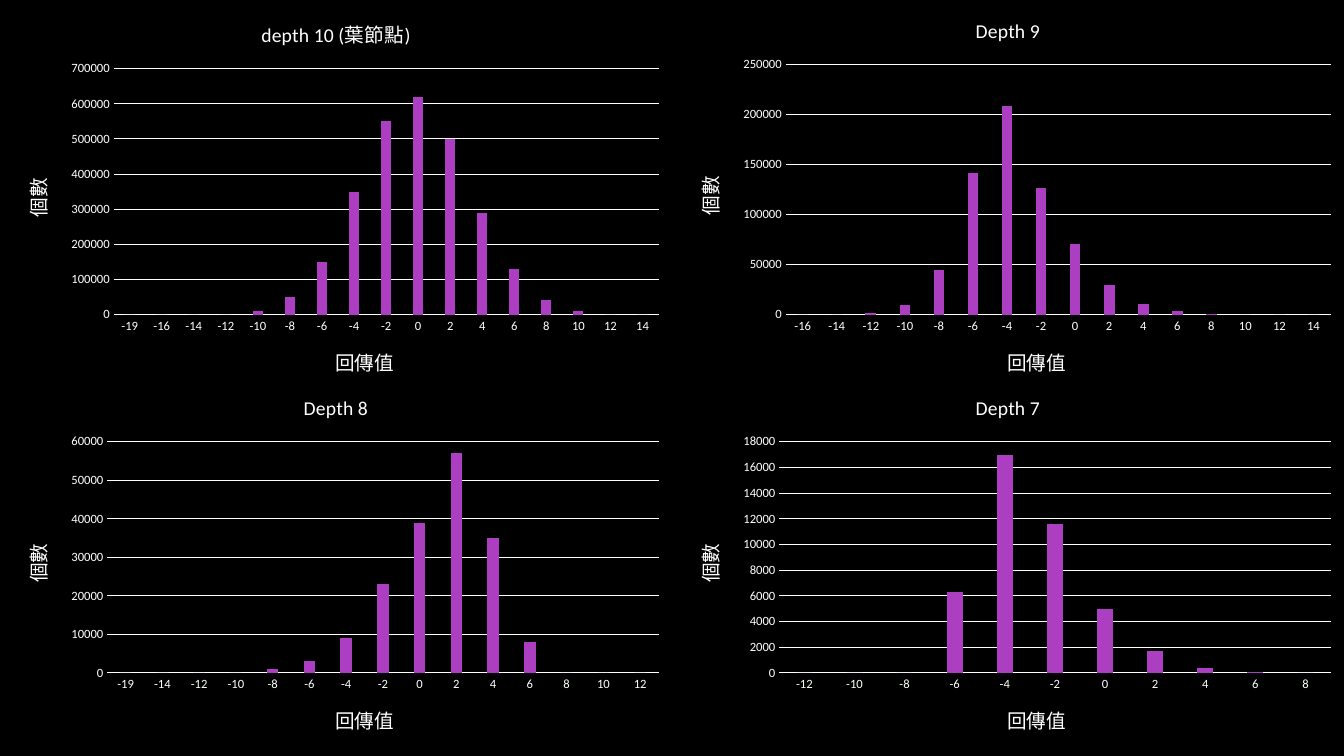
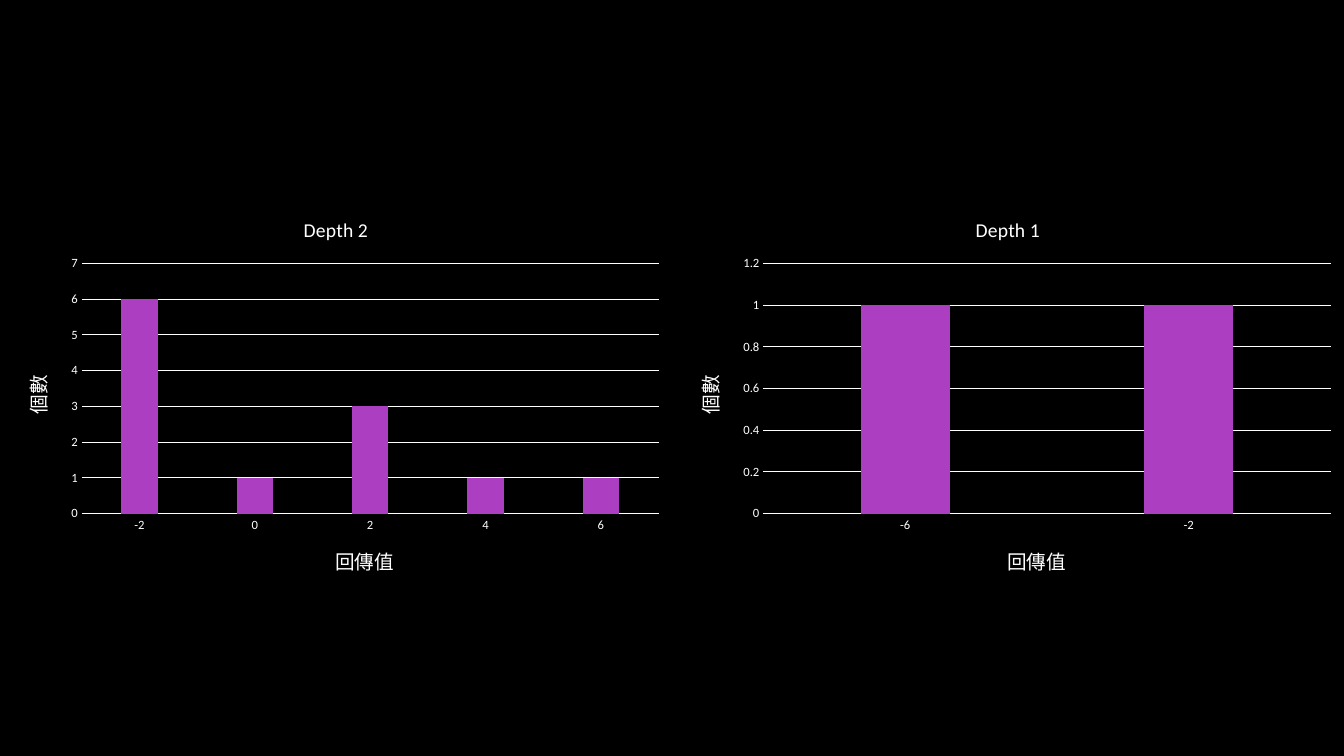
from pptx import Presentation
from pptx.chart.data import CategoryChartData
from pptx.dml.color import RGBColor
from pptx.enum.chart import XL_CHART_TYPE as ChartType, XL_TICK_MARK as TickMark
from pptx.util import Emu, Pt

PIXEL = 9071.43
WIDTH, HEIGHT = 1344, 756
HALF_WIDTH, HALF_HEIGHT = WIDTH // 2, HEIGHT // 2
TALL = 398
MIDDLE_TOP = 199


def px(length):
    return Emu(round(length * PIXEL))


def color(value):
    return RGBColor.from_string(value)


class Deck:
    background = "000000"
    ink = "FFFFFF"
    bar = "AC3EC1"
    font_name = "Calibri"
    title_size = 14
    label_size = 9
    line_width = 0.75

    def __init__(self):
        self.presentation = Presentation()
        self.presentation.slide_width = px(WIDTH)
        self.presentation.slide_height = px(HEIGHT)
        self.slide = None

    def add_slide(self):
        self.slide = self.presentation.slides.add_slide(self.presentation.slide_layouts[6])
        fill = self.slide.background.fill
        fill.solid()
        fill.fore_color.rgb = color(self.background)

    def style_font(self, font, size):
        font.name = self.font_name
        font.size = Pt(size)
        font.bold = False
        font.color.rgb = color(self.ink)

    def style_line(self, line):
        line.color.rgb = color(self.ink)
        line.width = Pt(self.line_width)

    def set_title(self, title, text):
        title.text_frame.text = text
        self.style_font(title.text_frame.paragraphs[0].font, self.title_size)

    def style_axis(self, axis, title):
        self.set_title(axis.axis_title, title)
        axis.major_tick_mark = TickMark.NONE
        axis.minor_tick_mark = TickMark.NONE
        self.style_font(axis.tick_labels.font, self.label_size)

    def add_histogram(self, left, top, height, title, counts):
        data = CategoryChartData()
        data.categories = [str(value) for value in counts]
        data.add_series("Series 1", list(counts.values()))
        chart = self.slide.shapes.add_chart(
            ChartType.COLUMN_CLUSTERED, px(left), px(top), px(HALF_WIDTH), px(height), data
        ).chart
        self.style_font(chart.font, 10)
        chart.has_legend = False
        chart.has_title = True
        self.set_title(chart.chart_title, title)

        self.style_axis(chart.category_axis, "回傳值")
        self.style_line(chart.category_axis.format.line)
        self.style_axis(chart.value_axis, "個數")
        chart.value_axis.format.line.fill.background()
        self.style_line(chart.value_axis.major_gridlines.format.line)

        plot = chart.plots[0]
        plot.gap_width = 219
        plot.overlap = -27
        plot.vary_by_categories = False
        fill = plot.series[0].format.fill
        fill.solid()
        fill.fore_color.rgb = color(self.bar)


def even_counts(first, counts):
    return {first + 2 * index: count for index, count in enumerate(counts)}


depth_10 = {-19: 0} | even_counts(-16, [
    0, 0, 0, 10000, 50000, 150000, 350000, 550000,
    620000, 500000, 290000, 130000, 40000, 10000, 0, 0])
depth_9 = even_counts(-16, [
    0, 0, 2000, 10000, 45000, 142000, 209000, 127000,
    71000, 30000, 11000, 4000, 1000, 0, 0, 0])
depth_8 = {-19: 0} | even_counts(-14, [
    0, 0, 0, 1000, 3000, 9000, 23000, 39000, 57000, 35000, 8000, 0, 0, 0])
depth_7 = even_counts(-12, [0, 0, 0, 6300, 17000, 11600, 5000, 1700, 400, 100, 0])
depth_2 = even_counts(-2, [6, 1, 3, 1, 1])
depth_1 = {-6: 1, -2: 1}

slides = [
    [
        (0, 0, TALL, "depth 10 (葉節點)", depth_10),
        (HALF_WIDTH, 0, TALL, "Depth 9", depth_9),
        (0, HALF_HEIGHT, HALF_HEIGHT, "Depth 8", depth_8),
        (HALF_WIDTH, HALF_HEIGHT, HALF_HEIGHT, "Depth 7", depth_7),
    ],
    [
        (0, MIDDLE_TOP, TALL, "Depth 2", depth_2),
        (HALF_WIDTH, MIDDLE_TOP, TALL, "Depth 1", depth_1),
    ],
]

deck = Deck()
for histograms in slides:
    deck.add_slide()
    for histogram in histograms:
        deck.add_histogram(*histogram)
deck.presentation.save("out.pptx")
